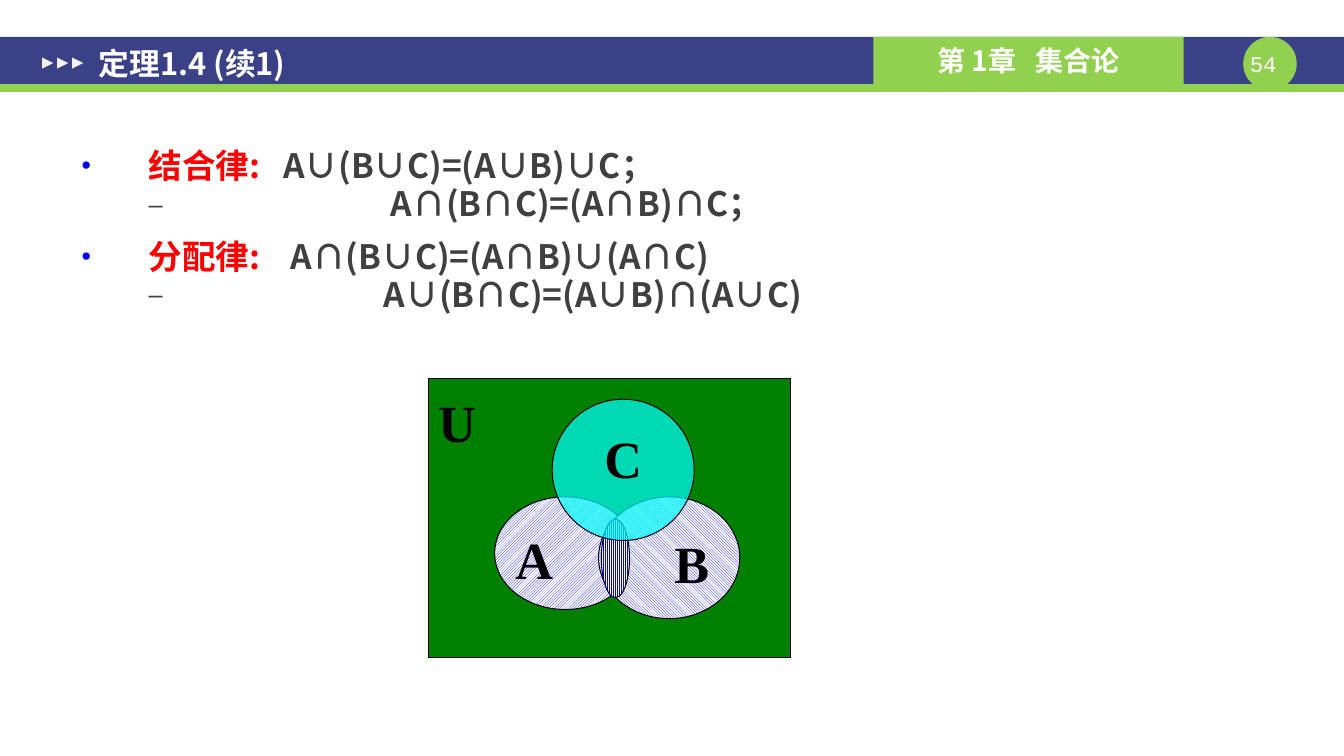
from dataclasses import dataclass

from lxml import etree
from pptx import Presentation
from pptx.dml.color import RGBColor
from pptx.enum.dml import MSO_PATTERN
from pptx.enum.shapes import MSO_SHAPE
from pptx.enum.text import MSO_ANCHOR, MSO_AUTO_SIZE, PP_ALIGN
from pptx.oxml.ns import qn
from pptx.util import Cm, Pt

RECT, OVAL, TRIANGLE = MSO_SHAPE.RECTANGLE, MSO_SHAPE.OVAL, MSO_SHAPE.ISOSCELES_TRIANGLE
TOP, MIDDLE = MSO_ANCHOR.TOP, MSO_ANCHOR.MIDDLE
LEFT, CENTER, RIGHT, JUSTIFY = PP_ALIGN.LEFT, PP_ALIGN.CENTER, PP_ALIGN.RIGHT, PP_ALIGN.JUSTIFY
NO_FIT = MSO_AUTO_SIZE.NONE
UP_DIAG = MSO_PATTERN.LIGHT_UPWARD_DIAGONAL
DOWN_DIAG = MSO_PATTERN.LIGHT_DOWNWARD_DIAGONAL
VERTICAL = MSO_PATTERN.LIGHT_VERTICAL


@dataclass(frozen=True)
class Theme:
    navy: str = "3A4187"
    lime: str = "92D050"
    white: str = "FFFFFF"
    marker: str = "F2F2F2"
    red: str = "FF0000"
    body: str = "404040"
    blue: str = "0000FF"
    black: str = "000000"
    universe: str = "008000"
    cyan: str = "00FFFF"
    sans: str = "Noto Sans CJK SC"
    serif: str = "Times New Roman"
    mono: str = "Courier New"
    tab_font: str = "Arial"
    title: float = 22
    chapter: float = 20
    page: float = 16
    law: float = 24
    tab: float = 18
    set_name: float = 37.3


T = Theme()

TITLE = "定理1.4 (续1)"
CHAPTER = "第 1章   集合论"
PAGE = "54 "
LAWS = [
    (0, "结合律: \t", "A∪(B∪C)=(A∪B)∪C；"),
    (1, "\t \t ", "A∩(B∩C)=(A∩B)∩C；"),
    (0, "分配律:\t ", "A∩(B∪C)=(A∩B)∪(A∩C)"),
    (1, "\t\t", "A∪(B∩C)=(A∪B)∩(A∪C)"),
]
VENN = [
    ("U", RECT, (10.8, 9.53, 9.14, 7.04), T.universe, LEFT, TOP, (0.25, 0.3)),
    ("A", OVAL, (12.47, 12.52, 3.56, 2.84), UP_DIAG, LEFT, MIDDLE, (0, 0.25)),
    ("B", OVAL, (15.09, 12.52, 3.56, 3.07), DOWN_DIAG, RIGHT, MIDDLE, (0.25, 0.25)),
    ("", OVAL, (15.16, 13.08, 0.71, 1.98), VERTICAL, CENTER, MIDDLE, (0, 0)),
    ("C", OVAL, (13.92, 10.06, 3.58, 3.56), T.cyan, CENTER, TOP, (0, 0.15)),
]
INDENT = 1.69
TAB_STEP = 2.54


def rgb(color):
    return RGBColor.from_string(color)


def style(r, size, color, name, bold=True):
    r.font.size, r.font.bold, r.font.name = Pt(size), bold, name
    r.font.color.rgb = rgb(color)
    latin = r._r.rPr.find(qn("a:latin"))
    ea = etree.Element(qn("a:ea"), typeface=T.sans)
    latin.addnext(ea)


def set_insets(tf, left, top, right, bottom):
    tf.margin_left, tf.margin_top = Cm(left), Cm(top)
    tf.margin_right, tf.margin_bottom = Cm(right), Cm(bottom)


def add_label(tf, text, align, size, color, name, bold=True):
    p = tf.paragraphs[0]
    p.text = text
    p.alignment = align
    for r in p.runs:
        style(r, size, color, name, bold)


def add_box(slide, kind, box, fill):
    sp = slide.shapes.add_shape(kind, *map(Cm, box))
    sp.shadow.inherit = False
    sp.line.fill.background()
    if isinstance(fill, str):
        sp.fill.solid()
        sp.fill.fore_color.rgb = rgb(fill)
    else:
        sp.fill.patterned()
        sp.fill.pattern = fill
        sp.fill.fore_color.rgb = rgb(T.blue)
        sp.fill.back_color.rgb = rgb(T.white)
    return sp


def add_header(slide):
    add_box(slide, RECT, (0, 0.93, 33.88, 1.2), T.navy)
    badge = add_box(slide, OVAL, (31.34, 0.93, 1.35, 1.35), T.lime)
    add_box(slide, RECT, (0, 2.12, 33.88, 0.2), T.lime)
    tf = badge.text_frame
    set_insets(tf, 0, 0, 0, 0)
    tf.vertical_anchor, tf.word_wrap = MIDDLE, False
    add_label(tf, PAGE, CENTER, T.page, T.white, T.mono, False)
    chapter = add_box(slide, RECT, (22.02, 0.93, 7.82, 1.2), T.lime)
    chapter.text_frame.vertical_anchor = MIDDLE
    add_label(chapter.text_frame, CHAPTER, CENTER, T.chapter, T.white, T.sans)
    for i in range(3):
        add_box(slide, TRIANGLE, (1.06 + 0.38 * i, 1.45, 0.28, 0.28), T.marker).rotation = 90

    title = slide.shapes.title
    title.left, title.top, title.width, title.height = map(Cm, (2.16, 0.99, 14.81, 1.2))
    tf = title.text_frame
    set_insets(tf, 0.33, 0.18, 0.33, 0.18)
    tf.auto_size, tf.vertical_anchor = NO_FIT, MIDDLE
    add_label(tf, TITLE, JUSTIFY, T.title, T.white, T.sans)
    slide.shapes._spTree.append(title._element)


def add_bullet(p, level):
    pPr = p._p.get_or_add_pPr()
    pPr.set("marL", str(Cm(INDENT * (level + 1))))
    pPr.set("indent", str(-Cm(INDENT)))
    pPr.set("defTabSz", str(Cm(TAB_STEP)))
    if level == 0:
        color = etree.SubElement(pPr, qn("a:buClr"))
        etree.SubElement(color, qn("a:srgbClr"), val=T.blue)
        etree.SubElement(pPr, qn("a:buSzPct"), val="80000")
    etree.SubElement(pPr, qn("a:buFont"), typeface=T.tab_font)
    etree.SubElement(pPr, qn("a:buChar"), char="–" if level else "•")


def add_laws(slide):
    tf = slide.shapes.add_textbox(*map(Cm, (1.73, 3.28, 31.2, 6))).text_frame
    tf.word_wrap = True
    set_insets(tf, 0.33, 0.18, 0.33, 0.18)
    for i, (level, lead, formula) in enumerate(LAWS):
        p = tf.add_paragraph() if i else tf.paragraphs[0]
        add_bullet(p, level)
        p.level = level
        p.line_spacing = 0.97 if level else 1.2
        p.space_before = Pt(2 if i and level == 0 else 0)
        for text in (lead, formula):
            r = p.add_run()
            r.text = text
            style(r, T.law, T.body, T.sans)
        if level:
            p.runs[0].font.size, p.runs[0].font.bold = Pt(T.tab), False
            p.runs[0].font.name = T.tab_font
        else:
            p.runs[0].font.color.rgb = rgb(T.red)


def add_venn(slide):
    for name, kind, box, fill, align, anchor, (side, top) in VENN:
        sp = add_box(slide, kind, box, fill)
        sp.line.color.rgb, sp.line.width = rgb(T.black), Pt(0.75)
        if fill == T.cyan:
            color = sp._element.spPr.find(qn("a:solidFill"))[0]
            etree.SubElement(color, qn("a:alpha"), val="70000")
        if name:
            tf = sp.text_frame
            set_insets(tf, side, top, side, 0)
            tf.word_wrap, tf.vertical_anchor = kind == RECT, anchor
            add_label(tf, name, align, T.set_name, T.black, T.serif)


def main():
    prs = Presentation()
    prs.slide_width, prs.slide_height = Cm(33.88), Cm(19.05)
    slide = prs.slides.add_slide(prs.slide_layouts[5])
    add_header(slide)
    add_laws(slide)
    add_venn(slide)
    prs.save("out.pptx")


if __name__ == "__main__":
    main()
